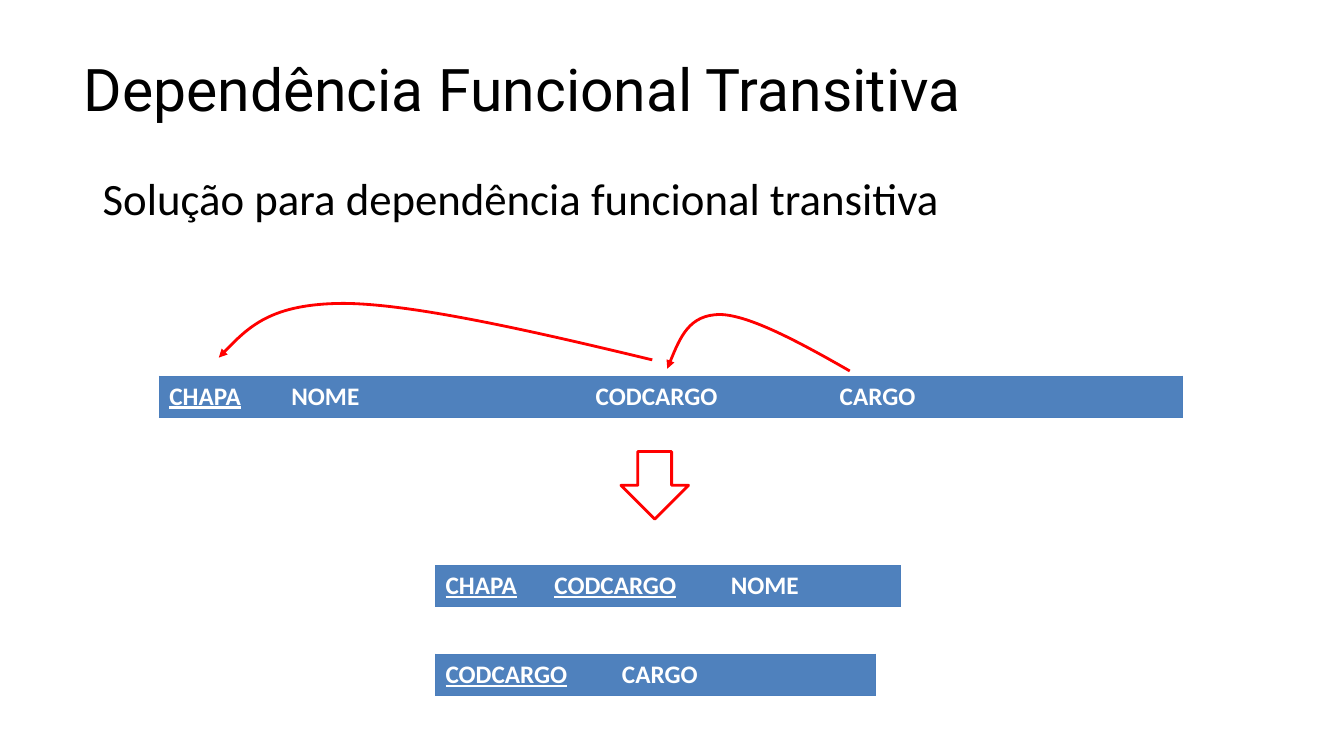
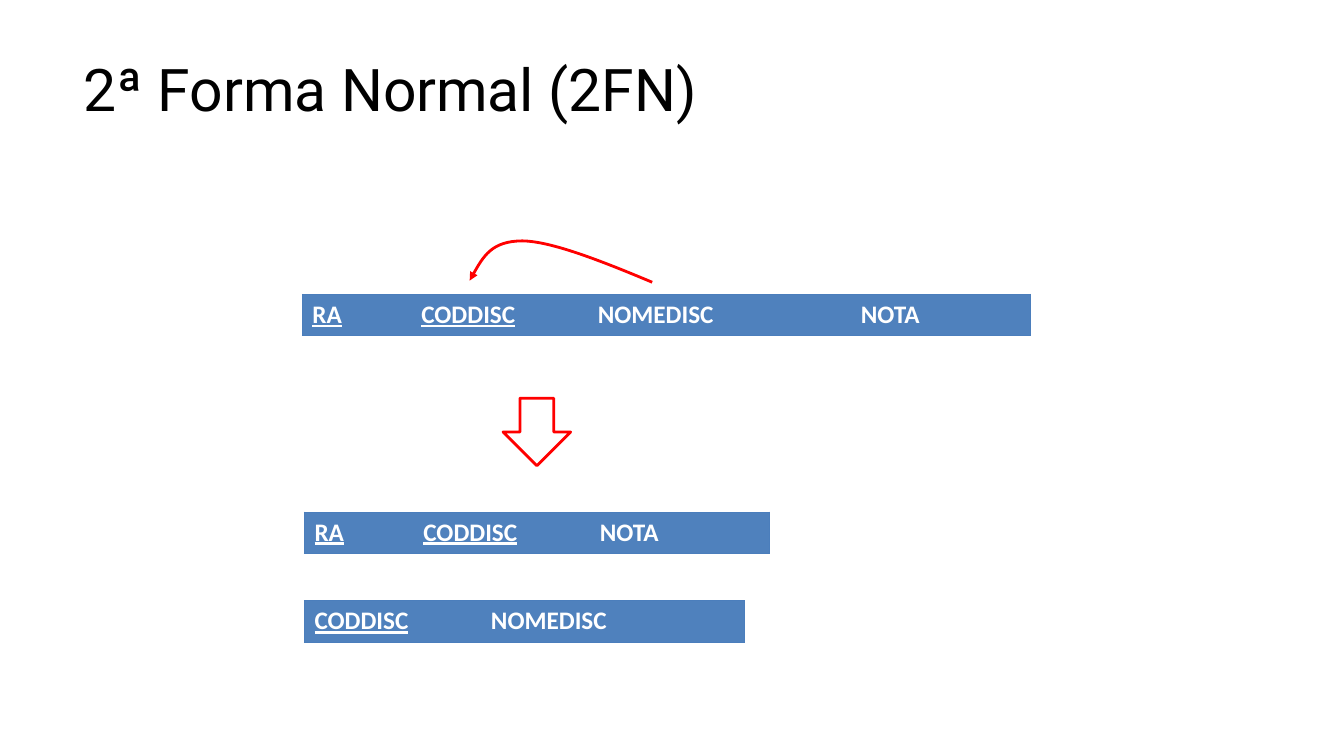
from lxml import etree
from pptx import Presentation, util as u
from pptx.dml import color
from pptx.enum import shapes, text
from pptx.oxml import ns

HUES = {"ink": "000000", "paper": "FFFFFF", "red": "FF0000",
        "blue": "4F81BD", "edge": "4B7EBC"}
ARC = [(1, 1), (0.73, 0.5), (0.45, 0.01), (0.29, 0), (0.12, 0), (0.06, 0.48), (0, 0.96)]
ROW, STEP = 5.47, 11.73


class Deck:
    """Holds the style and the current slide, on a grid of 100 columns by 100 rows."""

    def __init__(self):
        self.prs = Presentation()
        self.prs.slide_width = u.Inches(13.33)
        self.prs.slide_height = u.Inches(7.5)

    def col(self, n):
        return round(self.prs.slide_width * n / 100)

    def row(self, n):
        return round(self.prs.slide_height * n / 100)

    def box(self, left, top, wide, high):
        return self.col(left), self.row(top), self.col(wide), self.row(high)

    def hue(self, name):
        return color.RGBColor.from_string(HUES[name])

    def run(self, para, words, face, size, hue, bold=False, line=False):
        run = para.add_run()
        run.text = words
        font = run.font
        font.name, font.size, font.bold, font.underline = face, u.Pt(size), bold, line
        font.color.rgb = self.hue(hue)

    def label(self, area, words, face, size):
        frame = self.slide.shapes.add_textbox(*self.box(*area)).text_frame
        frame.word_wrap = False
        frame.vertical_anchor = text.MSO_ANCHOR.TOP
        self.run(frame.paragraphs[0], words, face, size, "ink")
        return frame

    def page(self, title):
        self.slide = self.prs.slides.add_slide(self.prs.slide_layouts[6])
        frame = self.label((6.23, 6.53, 67.65, 9.6), title, "Roboto", 42)
        frame.word_wrap = True
        frame.margin_left = frame.margin_right = frame.margin_bottom = 0
        frame.margin_top = u.Inches(0.03)
        frame.paragraphs[0].line_spacing = 1

    def red(self, shape):
        shape.shadow.inherit = False
        shape.line.color.rgb = self.hue("red")
        shape.line.width = u.Pt(2)

    def arrow(self, left, top):
        shape = self.slide.shapes.add_shape(
            shapes.MSO_SHAPE.DOWN_ARROW, *self.box(left, top, 5.03, 8.93))
        shape.fill.solid()
        shape.fill.fore_color.rgb = self.hue("paper")
        self.red(shape)

    def arc(self, left, top, wide, high):
        dots = [(self.col(left + x * wide), self.row(top + y * high)) for x, y in ARC]
        pen = self.slide.shapes.build_freeform(*dots[0])
        pen.add_line_segments(dots[1:], close=False)
        shape = pen.convert_to_shape()
        shape.fill.background()
        self.red(shape)
        track = shape.element.find(".//" + ns.qn("a:path"))
        legs = track.findall(ns.qn("a:lnTo"))
        for i in range(0, len(legs), 3):
            bend = etree.SubElement(track, ns.qn("a:cubicBezTo"))
            for leg in legs[i:i + 3]:
                bend.append(leg[0])
                track.remove(leg)
        line = shape.element.spPr.find(ns.qn("a:ln"))
        etree.SubElement(line, ns.qn("a:tailEnd"), type="triangle")

    def edge(self, cell, first, last):
        props = cell._tc.get_or_add_tcPr()
        for side, shown in (("L", first), ("R", last), ("T", True), ("B", True)):
            line = etree.SubElement(props, ns.qn("a:ln" + side), w=str(u.Pt(0.75)))
            if shown:
                fill = etree.SubElement(line, ns.qn("a:solidFill"))
                etree.SubElement(fill, ns.qn("a:srgbClr"), val=HUES["edge"])
            else:
                etree.SubElement(line, ns.qn("a:noFill"))

    def table(self, left, top, names, sizes, keys):
        area = self.box(left, top, sum(sizes), ROW)
        grid = self.slide.shapes.add_table(1, len(names), *area).table
        grid.first_row = grid.horz_banding = False
        for i, (name, size) in enumerate(zip(names, sizes)):
            grid.columns[i].width = self.col(size)
            cell = grid.cell(0, i)
            self.edge(cell, i == 0, i == len(names) - 1)
            cell.fill.solid()
            cell.fill.fore_color.rgb = self.hue("blue")
            self.run(cell.text_frame.paragraphs[0], name, "Calibri", 18, "paper",
                     bold=True, line=i < keys)

    def split(self, left, top, main, side):
        self.table(left, top, main, (8.1, 13.13, 13.35), 2)
        self.table(left, top + STEP, side, (13.13, 19.58), 1)


def main():
    deck = Deck()

    deck.page("Dependência Funcional Transitiva")
    deck.label((6.9, 21.87, 64.43, 8.53),
               "Solução para dependência funcional transitiva", "Calibri", 32)
    deck.table(11.85, 49.73, ("CHAPA", "NOME", "CODCARGO", "CARGO"),
               (9.08, 22.65, 18.15, 26.25), 1)
    deck.arc(16.28, 40.13, 32.25, 7.47)
    deck.arc(49.65, 41.6, 13.58, 7.47)
    deck.arrow(46.2, 59.73)
    deck.split(32.4, 74.8, ("CHAPA", "CODCARGO", "NOME"), ("CODCARGO", "CARGO"))

    deck.page("2ª Forma Normal (2FN)")
    deck.table(22.5, 38.93, ("RA", "CODDISC", "NOMEDISC", "NOTA"),
               (8.1, 13.13, 19.58, 13.35), 2)
    deck.arc(34.95, 31.87, 13.58, 5.47)
    deck.arrow(37.43, 52.67)
    deck.split(22.65, 67.73, ("RA", "CODDISC", "NOTA"), ("CODDISC", "NOMEDISC"))

    deck.prs.save("out.pptx")


if __name__ == "__main__":
    main()
